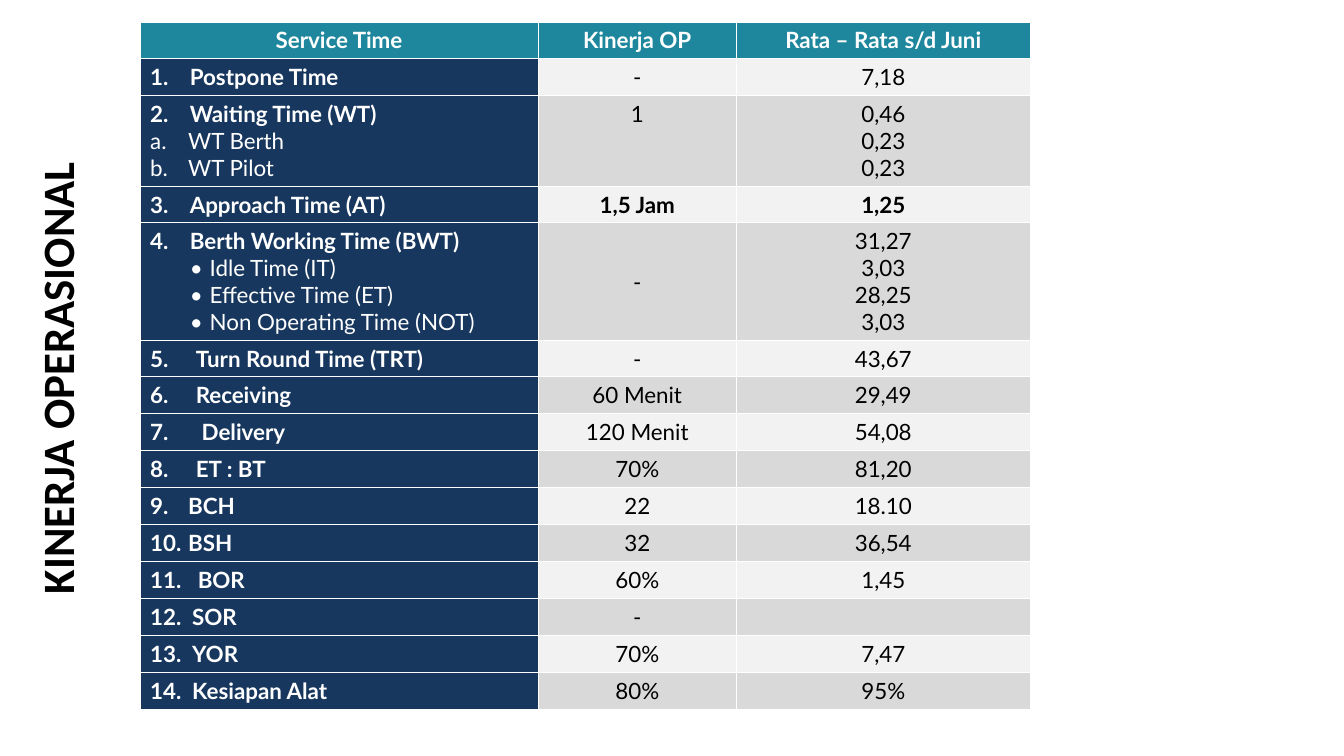
from lxml.etree import SubElement
from pptx import Presentation
from pptx.dml.color import RGBColor
from pptx.enum.text import MSO_ANCHOR, MSO_AUTO_SIZE, PP_ALIGN
from pptx.oxml.ns import qn
from pptx.util import Cm, Pt

WHITE, BLACK = "FFFFFF", "000000"
TEAL, NAVY = "1F879D", "17375E"
BANDS = ("F2F2F2", "D9D9D9")
COLUMN_WIDTHS = (10.03, 5, 7.4)
LINE_HEIGHT, ROW_PADDING = 0.67, 0.25
HEADINGS = ("Service Time", "Kinerja OP", "Rata – Rata s/d Juni")

# Number, label, label indent in cm, target, averages
SERVICES = [
    ("1.", "Postpone Time", 1, "-", ["7,18"]),
    ("2.", "Waiting Time (WT)", 1, "1", ["0,46", "0,23", "0,23"]),
    ("3.", "Approach Time (AT)", 1, "1,5 Jam", ["1,25"]),
    ("4.", "Berth Working Time (BWT)", 1, "-", ["31,27", "3,03", "28,25", "3,03"]),
    ("5.", "Turn Round Time (TRT)", 1.15, "-", ["43,67"]),
    ("6.", "Receiving", 1.15, "60 Menit", ["29,49"]),
    ("7.", "Delivery", 1.3, "120 Menit", ["54,08"]),
    ("8.", "ET : BT", 1.15, "70%", ["81,20"]),
    ("9.", "BCH", 0.96, "22", ["18.10"]),
    ("10.", "BSH", 0.96, "32", ["36,54"]),
    ("11.", "BOR", 1.2, "60%", ["1,45"]),
    ("12.", "SOR", 1.06, "-", [""]),
    ("13.", "YOR", 1.06, "70%", ["7,47"]),
    ("14.", "Kesiapan Alat", 1.06, "80%", ["95%"]),
]
LETTERED = {"indent": 0.96, "hanging": 0.96, "bullet": ("buAutoNum", "type", "alphaLcPeriod")}
DOTTED = {"indent": 1.5, "hanging": 0.5, "bullet": ("buChar", "char", "•")}
DETAILS = {
    "2.": (["WT Berth", "WT Pilot"], LETTERED),
    "4.": (["Idle Time (IT)", "Effective Time (ET)", "Non Operating Time (NOT)"], DOTTED),
}
BOLD_ROW = "3."


def color(value):
    return RGBColor.from_string(value)


def write(para, text, size=16, font="Lato", fill=BLACK, bold=False,
          align=PP_ALIGN.LEFT, indent=0, hanging=0, bullet=None):
    """Fill a paragraph; bullet is an element name, attribute and value."""
    para.alignment = align
    properties = para._p.get_or_add_pPr()
    properties.set("marL", str(Cm(indent)))
    properties.set("indent", str(-Cm(hanging)))
    if bullet:
        tag, attribute, value = bullet
        SubElement(properties, qn("a:buFont"), typeface=font)
        SubElement(properties, qn("a:" + tag)).set(attribute, value)
    elif hanging:
        stops = SubElement(properties, qn("a:tabLst"))
        SubElement(stops, qn("a:tab"), pos=str(Cm(indent)), algn="l")
    if not text:
        SubElement(para._p, qn("a:endParaRPr"), sz=str(size * 100))
        return
    span = para.add_run()
    span.text = text
    span.font.size = Pt(size)
    span.font.name = font
    span.font.bold = bold
    span.font.color.rgb = color(fill)


class Page:
    def __init__(self, deck):
        self.slide = deck.slides.add_slide(deck.slide_layouts[5])

    def side_title(self, text, center_x, center_y, length, thickness):
        """Place the title so that it reads from bottom to top."""
        box = self.slide.shapes.title
        box.left, box.top = Cm(center_x - length / 2), Cm(center_y - thickness / 2)
        box.width, box.height = Cm(length), Cm(thickness)
        box.rotation = 270
        frame = box.text_frame
        frame.auto_size = MSO_AUTO_SIZE.NONE
        frame.vertical_anchor = MSO_ANCHOR.MIDDLE
        write(frame.paragraphs[0], text, size=32, font="Calibri", bold=True,
              align=PP_ALIGN.CENTER)

    def table(self, left, top, widths, heights):
        frame = self.slide.shapes.add_table(
            len(heights), len(widths), Cm(left), Cm(top), Cm(sum(widths)), Cm(sum(heights)))
        table = frame.table
        table.first_row = table.horz_banding = False
        for column, width in zip(table.columns, widths):
            column.width = Cm(width)
        for row, height in zip(table.rows, heights):
            row.height = Cm(height)
        return table

    def cell(self, cell, lines, fill, anchor=MSO_ANCHOR.MIDDLE):
        """Fill a cell with lines, each a text and its format."""
        cell.vertical_anchor = anchor
        properties = cell._tc.get_or_add_tcPr()
        for side in ("lnL", "lnR", "lnT", "lnB"):
            line = SubElement(properties, qn("a:" + side), w=str(Pt(0.5)))
            SubElement(SubElement(line, qn("a:solidFill")), qn("a:srgbClr"), val=WHITE)
        cell.fill.solid()
        cell.fill.fore_color.rgb = color(fill)
        frame = cell.text_frame
        for index, (text, style) in enumerate(lines):
            para = frame.add_paragraph() if index else frame.paragraphs[0]
            write(para, text, **style)


def main():
    deck = Presentation()
    deck.slide_width, deck.slide_height = Cm(33.87), Cm(19.05)
    page = Page(deck)

    heights = [ROW_PADDING + LINE_HEIGHT * lines
               for lines in [1] + [len(service[-1]) for service in SERVICES]]
    table = page.table(3.53, 0.55, COLUMN_WIDTHS, heights)

    heading_style = {"fill": WHITE, "bold": True, "align": PP_ALIGN.CENTER}
    for column, heading in enumerate(HEADINGS):
        page.cell(table.cell(0, column), [(heading, heading_style)], TEAL)

    for row, (number, label, indent, target, averages) in enumerate(SERVICES, start=1):
        details, detail_style = DETAILS.get(number, ([], {}))
        label_style = {"fill": WHITE, "bold": True, "indent": indent, "hanging": indent}
        lines = [(f"{number}\t{label}", label_style)]
        lines += [(detail, {"fill": WHITE, **detail_style}) for detail in details]
        page.cell(table.cell(row, 0), lines, NAVY)

        band = BANDS[(row - 1) % 2]
        value_style = {"bold": number == BOLD_ROW, "align": PP_ALIGN.CENTER}
        anchor = MSO_ANCHOR.TOP if number == "2." else MSO_ANCHOR.MIDDLE
        page.cell(table.cell(row, 1), [(target, value_style)], band, anchor)
        page.cell(table.cell(row, 2), [(value, value_style) for value in averages], band)

    page.side_title("KINERJA OPERASIONAL", 1.42, 9.53, 14.73, 1.88)
    deck.save("out.pptx")


if __name__ == "__main__":
    main()
